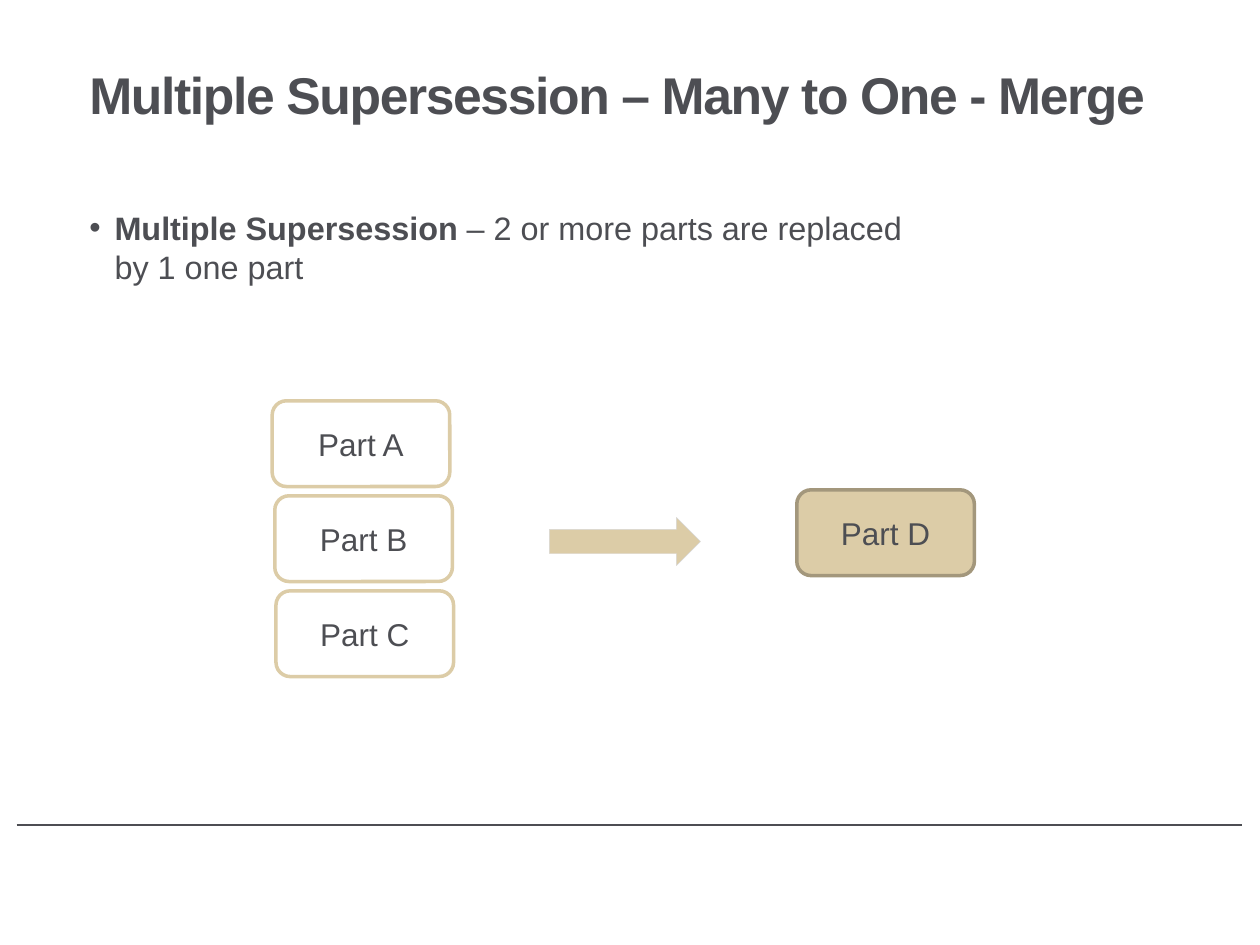
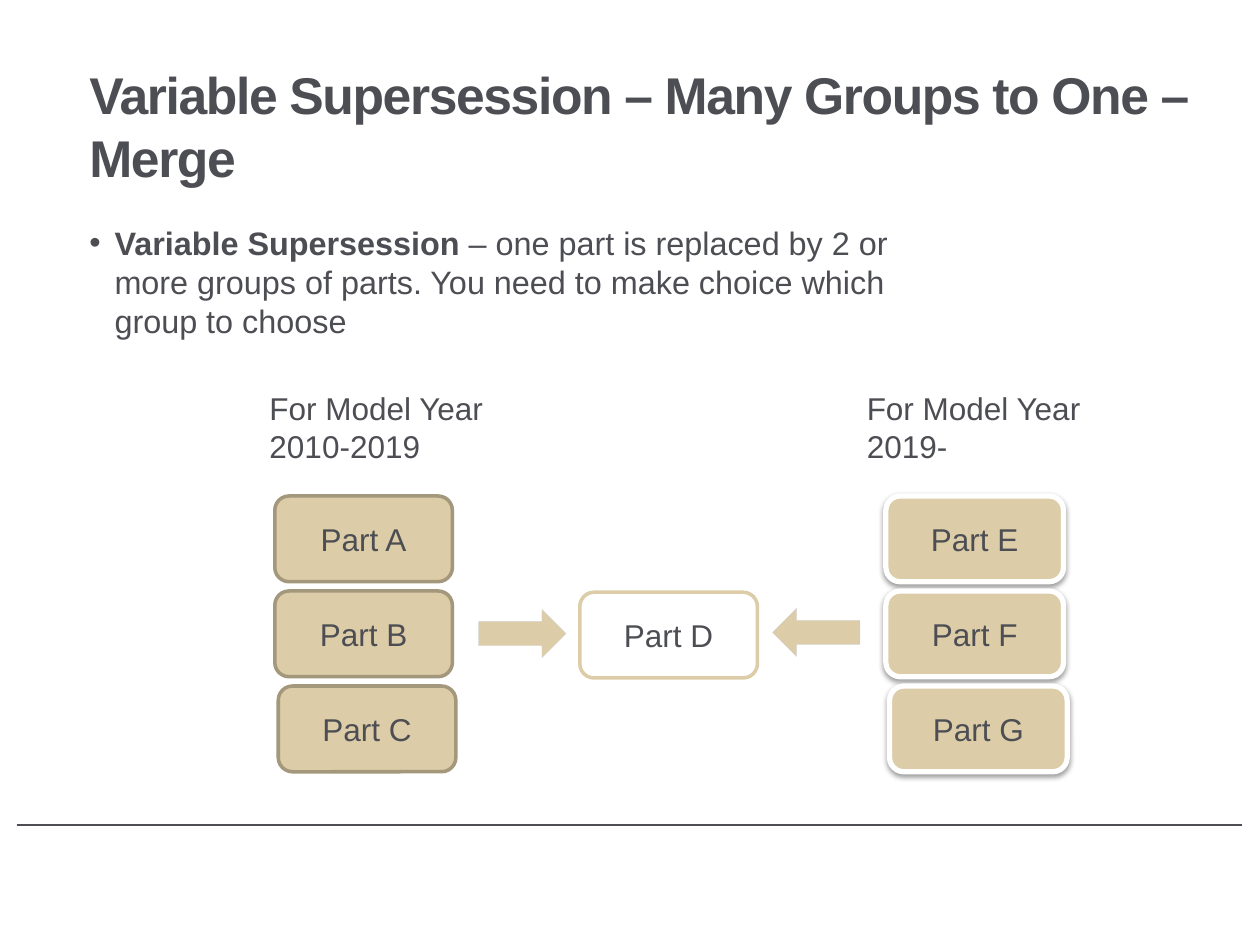
from collections import namedtuple

from lxml.etree import SubElement
from pptx import Presentation
from pptx.dml.color import RGBColor
from pptx.enum.shapes import MSO_CONNECTOR, MSO_SHAPE
from pptx.enum.text import MSO_ANCHOR, PP_ALIGN
from pptx.oxml.ns import qn
from pptx.util import Pt

INK = RGBColor(0x4D, 0x4E, 0x53)
SAND = RGBColor(0xDC, 0xCC, 0xA7)
DARK_SAND = RGBColor(0xA3, 0x97, 0x7C)
PALE_GREY = RGBColor(0xD8, 0xD7, 0xD5)
WHITE = RGBColor(0xFF, 0xFF, 0xFF)
FONT = "Arial"

PartStyle = namedtuple("PartStyle", "fill line weight raised")
OUTLINED = PartStyle(WHITE, SAND, 2, False)
FILLED = PartStyle(SAND, DARK_SAND, 2, False)
RAISED = PartStyle(SAND, WHITE, 3, True)

PART_WIDTH, PART_HEIGHT, PART_PITCH = 101.5, 49, 54.3
ARROW_HEIGHT = 27.5


def format_text(para, size, bold=False):
    for span in para.runs:
        span.font.name = FONT
        span.font.size = Pt(size)
        span.font.bold = bold
        span.font.color.rgb = INK


def add_text_box(page, left, top, width, height, text, wrap=True):
    box = page.shapes.add_textbox(Pt(left), Pt(top), Pt(width), Pt(height))
    box.text_frame.word_wrap = wrap
    box.text_frame.text = text
    return box.text_frame


def add_title(page, text):
    para = add_text_box(page, 44, 31.7, 648, 90, text).paragraphs[0]
    para.line_spacing = Pt(36)
    format_text(para, 29.5, bold=True)
    for span in para.runs:
        span.font._element.set("spc", "-80")


def add_definition(page, top, term, meaning):
    """Add a bulleted paragraph that opens with a bold term."""
    para = add_text_box(page, 44, top, 482.4, 292, term).paragraphs[0]
    para.add_run().text = meaning
    format_text(para, 18.5)
    para.runs[0].font.bold = True
    properties = para._p.get_or_add_pPr()
    properties.set("marL", str(Pt(14.4)))
    properties.set("indent", str(Pt(-14.4)))
    SubElement(properties, qn("a:buFont"), typeface=FONT)
    SubElement(properties, qn("a:buChar"), char="•")


def add_label(page, left, text):
    frame = add_text_box(page, left, 218.9, 137.5, 51, text, wrap=False)
    for para in frame.paragraphs:
        format_text(para, 18)


def add_filled_shape(page, kind, left, top, width, height, fill, line, weight):
    shape = page.shapes.add_shape(kind, Pt(left), Pt(top), Pt(width), Pt(height))
    shape.shadow.inherit = False
    shape.fill.solid()
    shape.fill.fore_color.rgb = fill
    shape.line.color.rgb = line
    shape.line.width = Pt(weight)
    return shape


def add_soft_shadow(shape):
    effects = shape._element.spPr.find(qn("a:effectLst"))
    shadow = SubElement(effects, qn("a:outerShdw"), blurRad=str(Pt(3.1)),
                        dist=str(Pt(1.6)), dir="5400000", rotWithShape="0")
    color = SubElement(shadow, qn("a:srgbClr"), val="000000")
    SubElement(color, qn("a:alpha"), val="38000")


def add_part(page, left, top, letter, style):
    part = add_filled_shape(page, MSO_SHAPE.ROUNDED_RECTANGLE, left, top, PART_WIDTH,
                            PART_HEIGHT, style.fill, style.line, style.weight)
    if style.raised:
        add_soft_shadow(part)
    part.text_frame.text = f"Part {letter}"
    part.text_frame.vertical_anchor = MSO_ANCHOR.MIDDLE
    para = part.text_frame.paragraphs[0]
    para.alignment = PP_ALIGN.CENTER
    format_text(para, 18)


def add_part_stack(page, lefts, top, letters, style):
    for row, (left, letter) in enumerate(zip(lefts, letters)):
        add_part(page, left, top + row * PART_PITCH, letter, style)


def add_arrow(page, left, top, width, rotation=0):
    arrow = add_filled_shape(page, MSO_SHAPE.RIGHT_ARROW, left, top, width,
                             ARROW_HEIGHT, SAND, PALE_GREY, 0.25)
    arrow.rotation = rotation


def add_footer_line(page):
    line = page.shapes.add_connector(MSO_CONNECTOR.STRAIGHT, Pt(9.5), Pt(471.6),
                                     Pt(710), Pt(471.6))
    line.line.color.rgb = INK
    line.line.width = Pt(1)
    SubElement(line._element.spPr, qn("a:effectLst"))


def add_page(deck, title):
    page = deck.slides.add_slide(deck.slide_layouts[6])
    add_footer_line(page)
    add_title(page, title)
    return page


def build_multiple_supersession(deck):
    page = add_page(deck, "Multiple Supersession – Many to One - Merge")
    add_definition(page, 115.2, "Multiple Supersession ",
                   "– 2 or more parts are replaced by 1 one part")
    add_part_stack(page, (155.5, 157, 157.7), 229, "ABC", OUTLINED)
    add_arrow(page, 313.9, 295.7, 86.4)
    add_part(page, 455.3, 279.9, "D", FILLED)


def build_variable_supersession(deck):
    page = add_page(deck, "Variable Supersession – Many Groups to One – Merge")
    add_definition(page, 124, "Variable Supersession ",
                   "– one part is replaced by 2 or more groups of parts. "
                   "You need to make choice which group to choose")
    add_label(page, 146.9, "For Model Year\n2010-2019")
    add_label(page, 488.2, "For Model Year\n2019-")
    add_part_stack(page, (157, 157, 159), 283.4, "ABC", FILLED)
    add_part_stack(page, (506.2, 506.2, 508.3), 283.4, "EFG", RAISED)
    add_part(page, 331.3, 338.4, "D", OUTLINED)
    add_arrow(page, 273.5, 348.3, 50)
    add_arrow(page, 441.4, 347.6, 50, rotation=180)


def main():
    deck = Presentation()
    deck.slide_width, deck.slide_height = Pt(720), Pt(540)
    build_multiple_supersession(deck)
    build_variable_supersession(deck)
    deck.save("out.pptx")


if __name__ == "__main__":
    main()
